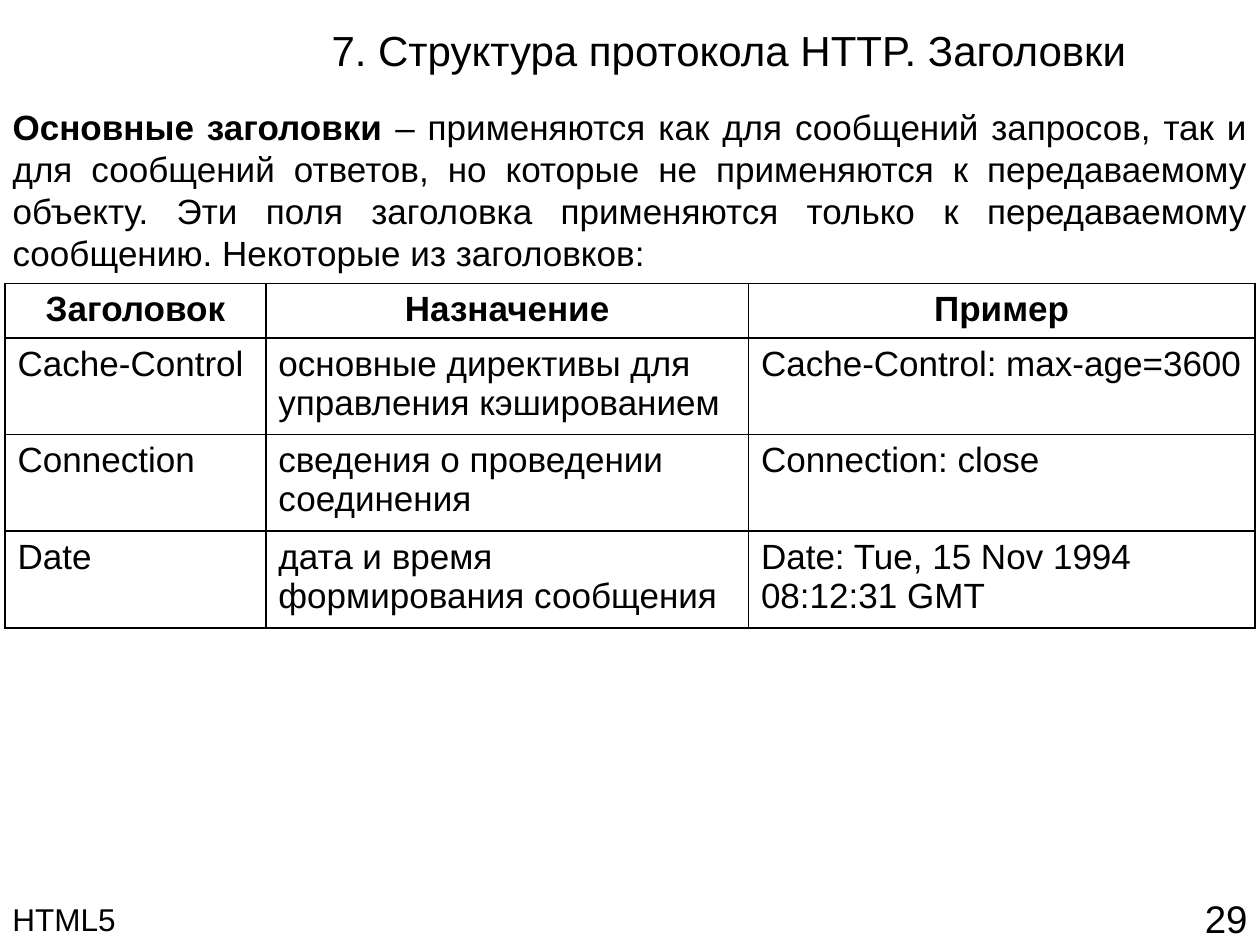
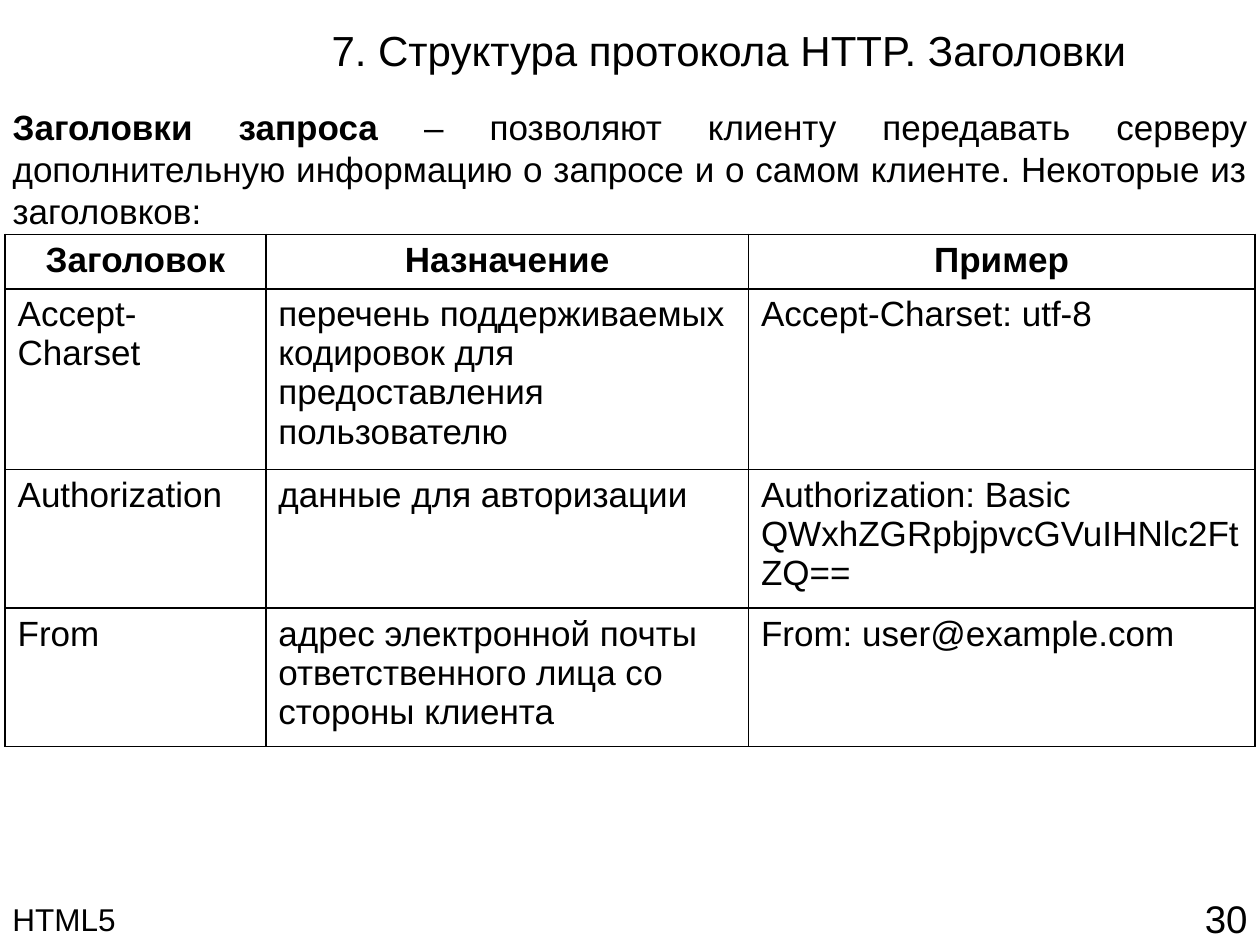
from lxml import etree
from pptx import Presentation
from pptx.dml.color import RGBColor
from pptx.enum.text import MSO_ANCHOR, MSO_AUTO_SIZE, PP_ALIGN
from pptx.oxml.ns import qn
from pptx.util import Inches, Pt

LEFT, CENTER, RIGHT, JUSTIFY = PP_ALIGN.LEFT, PP_ALIGN.CENTER, PP_ALIGN.RIGHT, PP_ALIGN.JUSTIFY
TOP, MIDDLE = MSO_ANCHOR.TOP, MSO_ANCHOR.MIDDLE
NO_AUTOFIT = MSO_AUTO_SIZE.NONE
BLACK = RGBColor(0, 0, 0)
FONT = "Arial"
BODY_SIZE = 20
SLIDE_WIDTH, SLIDE_HEIGHT = 10, 7.5
BAND_HEIGHT = 0.79
TITLE_LEFT = 1.57
FOOTER_TOP, FOOTER_HEIGHT = 7.09, 0.39
NUMBER_WIDTH = 0.79
TABLE_LEFT = 0.04
COLUMN_WIDTHS = (2.07, 3.83, 4.02)
LINE_HEIGHT, ROW_PADDING = 1 / 3, 0.1
TITLE = "7. Структура протокола HTTP. Заголовки"
FOOTER = "HTML5"
HEADINGS = ("Заголовок", "Назначение", "Пример")

SLIDES = [
    {
        "number": 29,
        "term": "Основные заголовки ",
        "definition": "– применяются как для сообщений запросов, так и для сообщений ответов, "
                      "но которые не применяются к передаваемому объекту. Эти поля заголовка "
                      "применяются только к передаваемому сообщению. Некоторые из заголовков:",
        "intro_height": 1.78,
        "table_top": 2.25,
        "row_lines": (1, 2, 2, 2),
        "rows": [
            ("Cache-Control", "основные директивы для управления кэшированием",
             "Cache-Control: max-age=3600"),
            ("Connection", "сведения о проведении соединения", "Connection: close"),
            ("Date", "дата и время формирования сообщения",
             "Date: Tue, 15 Nov 1994 08:12:31 GMT"),
        ],
    },
    {
        "number": 30,
        "term": "Заголовки запроса ",
        "definition": "– позволяют клиенту передавать серверу дополнительную информацию "
                      "о запросе и о самом клиенте. Некоторые из заголовков:",
        "intro_height": 1.11,
        "table_top": 1.86,
        "row_lines": (1, 4, 3, 3),
        "rows": [
            ("Accept-Charset",
             "перечень поддерживаемых кодировок для предоставления пользователю",
             "Accept-Charset: utf-8"),
            ("Authorization", "данные для авторизации",
             "Authorization: Basic QWxhZGRpbjpvcGVuIHNlc2FtZQ=="),
            ("From", "адрес электронной почты ответственного лица со стороны клиента",
             "From: user@example.com"),
        ],
    },
]


def format_text(text_frame, size, alignment, bold=False):
    paragraph = text_frame.paragraphs[0]
    paragraph.alignment = alignment
    for run in paragraph.runs:
        run.font.name = FONT
        run.font.size = Pt(size)
        run.font.bold = bold
        run.font.color.rgb = BLACK


def place(shape, left, top, width, height, anchor):
    shape.left, shape.top = Inches(left), Inches(top)
    shape.width, shape.height = Inches(width), Inches(height)
    shape.text_frame.word_wrap = True
    shape.text_frame.auto_size = NO_AUTOFIT
    shape.text_frame.vertical_anchor = anchor


presentation = Presentation()
presentation.slide_width = Inches(SLIDE_WIDTH)
presentation.slide_height = Inches(SLIDE_HEIGHT)

for content in SLIDES:
    slide = presentation.slides.add_slide(presentation.slide_layouts[1])

    title = slide.shapes.title
    place(title, TITLE_LEFT, 0, SLIDE_WIDTH - TITLE_LEFT, BAND_HEIGHT, MIDDLE)
    title.text_frame.text = TITLE
    format_text(title.text_frame, 24, CENTER)

    intro = slide.placeholders[1]
    place(intro, 0, BAND_HEIGHT, SLIDE_WIDTH, content["intro_height"], TOP)
    intro.text_frame.text = content["term"]
    paragraph = intro.text_frame.paragraphs[0]
    paragraph.add_run().text = content["definition"]
    format_text(intro.text_frame, BODY_SIZE, JUSTIFY)
    paragraph.runs[0].font.bold = True
    paragraph.space_before = Pt(0)
    paragraph.line_spacing = 1.0
    paragraph_properties = paragraph._p.get_or_add_pPr()
    paragraph_properties.set("marL", "0")
    paragraph_properties.set("indent", "0")
    etree.SubElement(paragraph_properties, qn("a:buNone"))

    number_left = SLIDE_WIDTH - NUMBER_WIDTH
    for text, left, width, size, alignment, anchor in (
        (str(content["number"]), number_left, NUMBER_WIDTH, 22, RIGHT, MIDDLE),
        (FOOTER, 0, number_left, 18, LEFT, TOP),
    ):
        footer = slide.shapes.add_textbox(0, 0, 0, 0)
        place(footer, left, FOOTER_TOP, width, FOOTER_HEIGHT, anchor)
        footer.text_frame.text = text
        format_text(footer.text_frame, size, alignment)

    row_heights = [lines * LINE_HEIGHT + ROW_PADDING for lines in content["row_lines"]]
    table = slide.shapes.add_table(
        len(row_heights), len(COLUMN_WIDTHS),
        Inches(TABLE_LEFT), Inches(content["table_top"]),
        Inches(sum(COLUMN_WIDTHS)), Inches(sum(row_heights)),
    ).table
    table.first_row = table.horz_banding = False
    for column, width in zip(table.columns, COLUMN_WIDTHS):
        column.width = Inches(width)
    for row, height in zip(table.rows, row_heights):
        row.height = Inches(height)

    for row_index, texts in enumerate([HEADINGS] + content["rows"]):
        is_heading = row_index == 0
        for column_index, text in enumerate(texts):
            cell = table.cell(row_index, column_index)
            cell.text_frame.text = text
            format_text(cell.text_frame, BODY_SIZE, CENTER if is_heading else LEFT, is_heading)
            cell_properties = cell._tc.get_or_add_tcPr()
            for side in ("a:lnL", "a:lnR", "a:lnT", "a:lnB"):
                border = etree.SubElement(cell_properties, qn(side), w=str(Pt(1)))
                border_fill = etree.SubElement(border, qn("a:solidFill"))
                etree.SubElement(border_fill, qn("a:srgbClr"), val=str(BLACK))
            cell.fill.background()

presentation.save("out.pptx")
